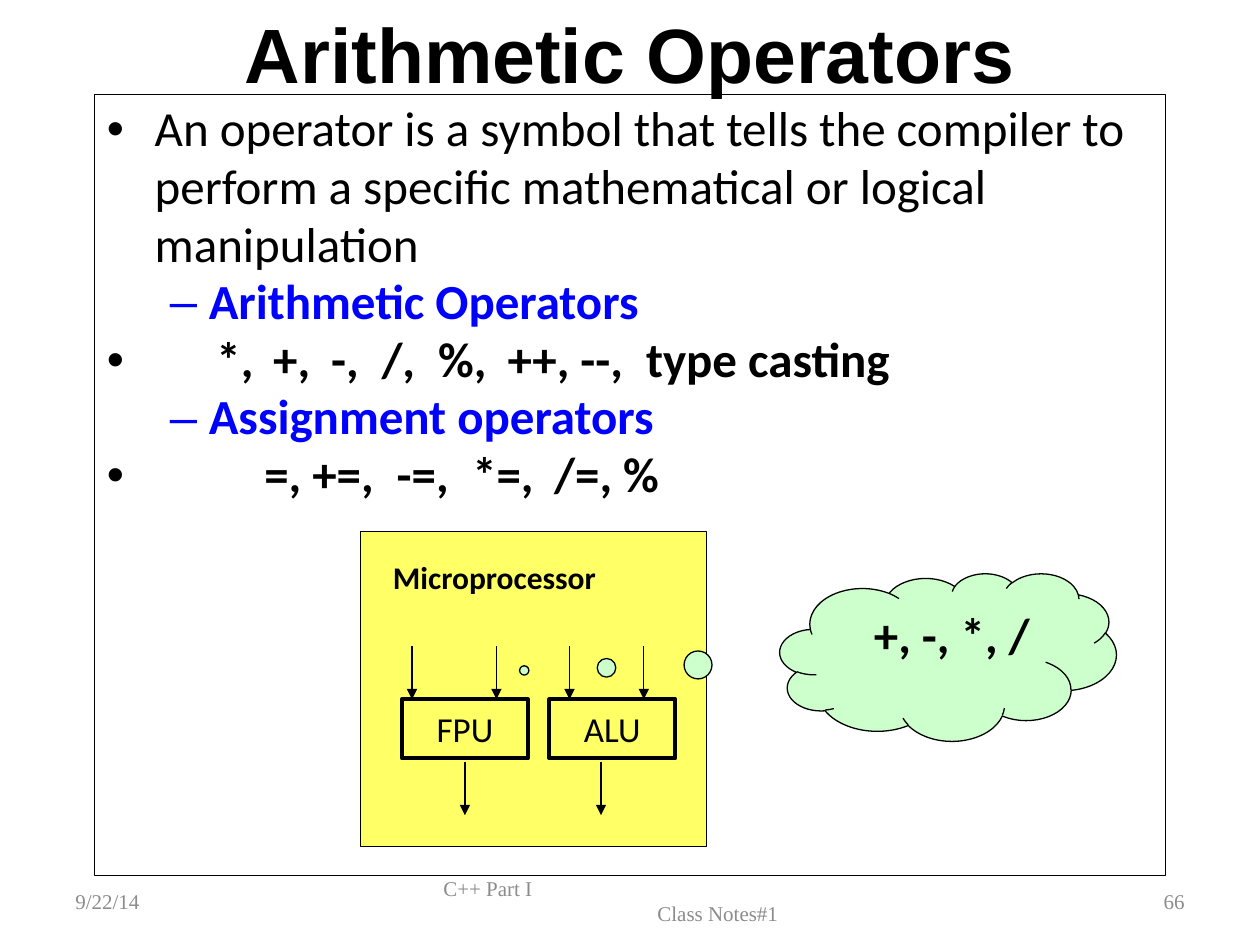
"""Build the Arithmetic Operators slide."""
from dataclasses import dataclass

from lxml import etree
from pptx import Presentation
from pptx import util as u
from pptx.dml.color import RGBColor
from pptx.enum import shapes, text
from pptx.oxml.ns import qn

PX = 9144  # EMU


@dataclass(frozen=True)
class Theme:
    black: str = "000000"
    blue: str = "0000FF"
    grey: str = "8C8C8C"
    yellow: str = "FFFF66"
    green: str = "CCFFCC"
    heading: str = "Arial"
    body: str = "Calibri"
    footer: str = "Times New Roman"
    title_size: int = 44
    body_size: int = 28
    unit_size: int = 20
    label_size: int = 18
    footer_size: int = 12


theme = Theme()
kinds = shapes.MSO_SHAPE
left, center, right = text.PP_ALIGN.LEFT, text.PP_ALIGN.CENTER, text.PP_ALIGN.RIGHT
top, middle = text.MSO_ANCHOR.TOP, text.MSO_ANCHOR.MIDDLE


def add_box(kind, place, fill=None, line=None):
    box = page.shapes.add_shape(kind, *(n * PX for n in place))
    box.shadow.inherit = False
    if fill:
        box.fill.solid()
        box.fill.fore_color.rgb = RGBColor.from_string(fill)
    else:
        box.fill.background()
    if line:
        box.line.color.rgb = RGBColor.from_string(theme.black)
        box.line.width = u.Pt(line)
    else:
        box.line.fill.background()
    return box


def write(box, lines, font, size, color=theme.black, bold=False, align=left, anchor=middle):
    frame = box.text_frame
    frame.word_wrap = True
    frame.vertical_anchor = anchor
    for index, (words, margin, indent, bullet, stops, changes) in enumerate(lines):
        para = frame.add_paragraph() if index else frame.paragraphs[0]
        para.alignment = align
        para.space_before = u.Pt(0)
        props = para._p.get_or_add_pPr()
        props.set("marL", str(margin * PX))
        props.set("indent", str(indent * PX))
        if bullet:
            etree.SubElement(props, qn("a:buFont"), typeface=theme.heading)
            etree.SubElement(props, qn("a:buChar"), char=bullet)
        if stops:
            tabs = etree.SubElement(props, qn("a:tabLst"))
            for stop in stops:
                etree.SubElement(tabs, qn("a:tab"), pos=str(stop * PX), algn="l")
        span = para.add_run()
        span.text = words
        style = {"name": font, "size": u.Pt(size), "bold": bold, **changes}
        tint = style.pop("color", color)
        for key, value in style.items():
            setattr(span.font, key, value)
        span.font.color.rgb = RGBColor.from_string(tint)


def plain(words, margin=0):
    return words, margin, 0, None, (), {}


deck = Presentation()
deck.slide_width, deck.slide_height = 1000 * PX, 750 * PX
page = deck.slides.add_slide(deck.slide_layouts[5])

title = page.shapes.title
for name, value in {"left": 75, "top": 0, "width": 850, "height": 83}.items():
    setattr(title, name, value * PX)
write(title, [plain("Arithmetic Operators")], theme.heading, theme.title_size,
      bold=True, align=center)

footers = [
    ((50, 695, 233, 40), [plain("9/22/14")], left),
    ((342, 695, 317, 40), [plain("C++ Part I"), plain("Class Notes#1", 170)], left),
    ((717, 695, 233, 40), [plain("66")], right),
]
for place, lines, align in footers:
    box = page.shapes.add_textbox(*(n * PX for n in place))
    write(box, lines, theme.footer, theme.footer_size, theme.grey, align=align)

strong = {"bold": True}
category = {"bold": True, "color": theme.blue}
body = add_box(kinds.RECTANGLE, (75, 75, 850, 620), line=0.75)
write(body, [
    ("An operator is a symbol that tells the compiler to perform a specific "
     "mathematical or logical manipulation", 38, -38, "•", (), {}),
    ("Arithmetic Operators", 81, -31, "–", (), category),
    ("\t*,\t+,\t-,\t/,\t%,\t++, --,\ttype casting", 0, 0, "•",
     (87, 132, 178, 218, 263, 318, 428), strong),
    ("Assignment operators", 81, -31, "–", (), category),
    ("\t=, +=,\t-=,\t*=,\t/=, %", 0, 0, "•", (125, 230, 290, 355), strong),
], theme.body, theme.body_size, anchor=top)
for para in body.text_frame.paragraphs:
    para.line_spacing = 0.98

add_box(kinds.RECTANGLE, (286, 422, 275, 250), theme.yellow, 0.75)
for name, x in (("FPU", 319), ("ALU", 436)):
    unit = add_box(kinds.RECTANGLE, (x, 555, 100, 47), line=2.25)
    write(unit, [plain(name)], theme.body, theme.unit_size, align=center)

label = page.shapes.add_textbox(302 * PX, 438 * PX, 244 * PX, 50 * PX)
write(label, [plain("Microprocessor")], theme.body, theme.label_size, bold=True, anchor=top)

inputs = [(x, 513) for x in (327, 394, 452, 511)]
outputs = [(x, 605) for x in (369, 477)]
for x, y in inputs + outputs:
    arrow = page.shapes.add_connector(
        shapes.MSO_CONNECTOR.STRAIGHT, x * PX, y * PX, x * PX, (y + 42) * PX)
    arrow.line.color.rgb = RGBColor.from_string(theme.black)
    arrow.line.width = u.Pt(0.75)
    etree.SubElement(arrow.line._get_or_add_ln(), qn("a:tailEnd"), type="triangle")
    etree.SubElement(arrow._element.spPr, qn("a:effectLst"))

cloud = add_box(kinds.CLOUD_CALLOUT, (619, 455, 267, 133), theme.green, 0.75)
cloud.adjustments[0], cloud.adjustments[1] = -1.26, 0.08
write(cloud, [plain("+, -, *, /", 28)], theme.body, theme.body_size, bold=True, anchor=top)

deck.save("out.pptx")
